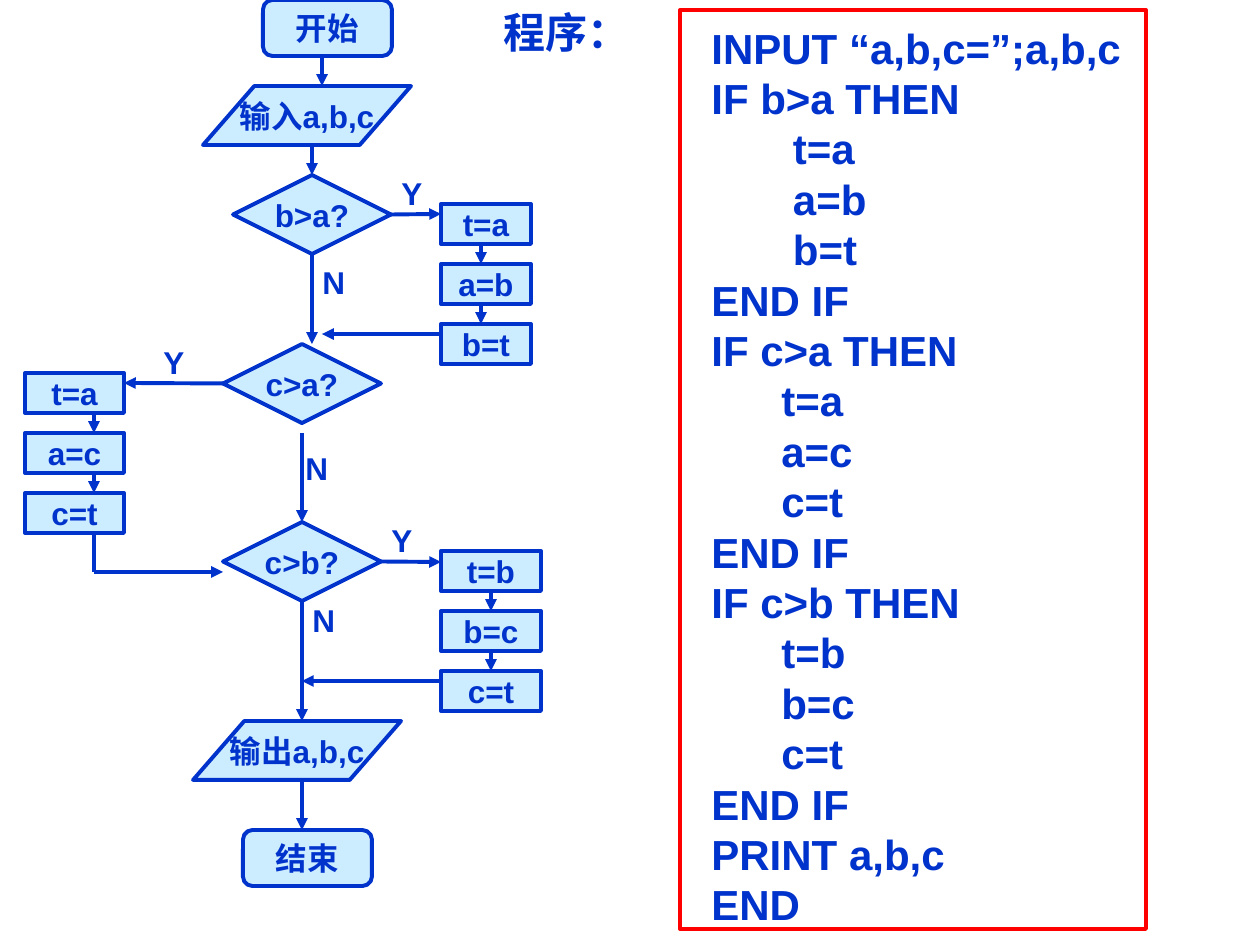
from lxml.etree import SubElement
from pptx import Presentation
from pptx.dml.color import RGBColor
from pptx.enum.shapes import MSO_CONNECTOR, MSO_SHAPE
from pptx.enum.text import MSO_ANCHOR, MSO_AUTO_SIZE, PP_ALIGN
from pptx.oxml.ns import qn
from pptx.util import Pt

SCALE = 914400 / 126
COLORS = {"ink": "0033CC", "fill": "CCECFF", "frame": "FF0000"}
TOP, LEFT, BOTTOM, RIGHT = range(4)
STEP_HEIGHT = 40
STEP_PITCH = 60
PROGRAM = """INPUT “a,b,c=”;a,b,c
IF b>a THEN
       t=a
       a=b
       b=t
END IF
IF c>a THEN
      t=a
      a=c
      c=t
END IF
IF c>b THEN
      t=b
      b=c
      c=t
END IF
PRINT a,b,c
END"""


def px(*lengths):
    """Turn pixel lengths into EMU."""
    return [round(length * SCALE) for length in lengths]


def color(name):
    """Look up a named colour."""
    return RGBColor.from_string(COLORS[name])


def stroke(line, name):
    """Draw a line in the common weight."""
    line.color.rgb = color(name)
    line.width = Pt(2.25)


def write(paragraph, text, size):
    """Add one bold run in the ink colour."""
    span = paragraph.add_run()
    span.text = text
    span.font.name = "Arial"
    span.font.size = Pt(size)
    span.font.bold = True
    span.font.color.rgb = color("ink")


def add_node(page, kind, text, left, top, width, height, adjust=None):
    """Add a flowchart shape with centred text."""
    node = page.shapes.add_shape(kind, *px(left, top, width, height))
    node.shadow.inherit = False
    if adjust is not None:
        node.adjustments[0] = adjust
    node.fill.solid()
    node.fill.fore_color.rgb = color("fill")
    stroke(node.line, "ink")
    frame = node.text_frame
    frame.word_wrap = False
    frame.vertical_anchor = MSO_ANCHOR.MIDDLE
    paragraph = frame.paragraphs[0]
    paragraph.alignment = PP_ALIGN.CENTER
    write(paragraph, text, 18)
    return node


def add_text(page, text, left, top, width, height, size=18, spacing=None):
    """Add a text box with one paragraph per line."""
    box = page.shapes.add_textbox(*px(left, top, width, height))
    frame = box.text_frame
    frame.word_wrap = False
    frame.auto_size = MSO_AUTO_SIZE.SHAPE_TO_FIT_TEXT
    for index, words in enumerate(text.split("\n")):
        paragraph = frame.add_paragraph() if index else frame.paragraphs[0]
        if spacing:
            paragraph.line_spacing = Pt(spacing)
        write(paragraph, words, size)


def add_link(page, start, end, arrow=True):
    """Join two ends, each a point or a (shape, site) pair."""
    link = page.shapes.add_connector(MSO_CONNECTOR.STRAIGHT, 0, 0, 0, 0)
    if isinstance(start[0], int):
        link.begin_x, link.begin_y = px(*start)
    else:
        link.begin_connect(*start)
    if isinstance(end[0], int):
        link.end_x, link.end_y = px(*end)
    else:
        link.end_connect(*end)
    stroke(link.line, "ink")
    if arrow:
        SubElement(link.line._get_or_add_ln(), qn("a:tailEnd"), type="triangle")
    SubElement(link._element.spPr, qn("a:effectLst"))


def add_steps(page, texts, left, top, width, axis):
    """Stack assignment boxes and link them down the given axis."""
    steps = [
        add_node(page, MSO_SHAPE.RECTANGLE, text, left, top + index * STEP_PITCH, width, STEP_HEIGHT)
        for index, text in enumerate(texts)
    ]
    for index, (upper, lower) in enumerate(zip(steps, steps[1:])):
        bottom = top + index * STEP_PITCH + STEP_HEIGHT
        if axis == left + width // 2:
            add_link(page, (upper, BOTTOM), (lower, TOP))
        else:
            add_link(page, (axis, bottom), (axis, top + (index + 1) * STEP_PITCH))


def add_flowchart(page):
    """Draw the sorting flowchart."""
    for text, left, top in (("开始", 263, 0), ("结束", 243, 830)):
        add_node(page, MSO_SHAPE.ROUNDED_RECTANGLE, text, left, top, 129, 56, 0.17)
    for text, left, top in (("输入a,b,c", 203, 86), ("输出a,b,c", 193, 721)):
        add_node(page, MSO_SHAPE.PARALLELOGRAM, text, left, top, 208, 59, 0.87)
    first, second, third = [
        add_node(page, MSO_SHAPE.DIAMOND, text, left, top, 158, 79)
        for text, left, top in (("b>a?", 233, 175), ("c>a?", 223, 344), ("c>b?", 223, 522))
    ]
    add_steps(page, ("t=a", "a=b", "b=t"), 441, 204, 90, 481)
    add_steps(page, ("t=a", "a=c", "c=t"), 25, 373, 99, 94)
    add_steps(page, ("t=b", "b=c", "c=t"), 441, 551, 100, 491)

    links = (
        ((322, 56), (322, 86)),
        ((312, 145), (first, TOP)),
        ((first, BOTTOM), (312, 344)),
        ((302, 433), (third, TOP)),
        ((third, BOTTOM), (302, 721)),
        ((302, 780), (302, 830)),
        ((first, RIGHT), (441, 214)),
        ((441, 334), (322, 334)),
        ((second, LEFT), (124, 383)),
        ((94, 572), (223, 572)),
        ((third, RIGHT), (441, 562)),
        ((441, 681), (302, 681)),
    )
    for start, end in links:
        add_link(page, start, end)
    add_link(page, (94, 572), (94, 532), arrow=False)

    for left, top in ((389, 168), (151, 337), (379, 515)):
        add_text(page, "Y", left, top, 45, 50)
    for left, top in ((310, 257), (293, 443), (300, 595)):
        add_text(page, "N", left, top, 48, 50)


def add_program(page):
    """Show the program in its frame."""
    border = page.shapes.add_shape(MSO_SHAPE.RECTANGLE, *px(680, 10, 466, 919))
    border.shadow.inherit = False
    border.fill.background()
    stroke(border.line, "frame")
    add_text(page, PROGRAM, 699, 16, 435, 920, 24, 28.8)
    add_text(page, "程序：", 491, 0, 151, 63, 24)


def main():
    """Build the slide and save it."""
    deck = Presentation()
    deck.slide_width, deck.slide_height = px(1260, 945)
    page = deck.slides.add_slide(deck.slide_layouts[6])
    add_flowchart(page)
    add_program(page)
    deck.save("out.pptx")


if __name__ == "__main__":
    main()
